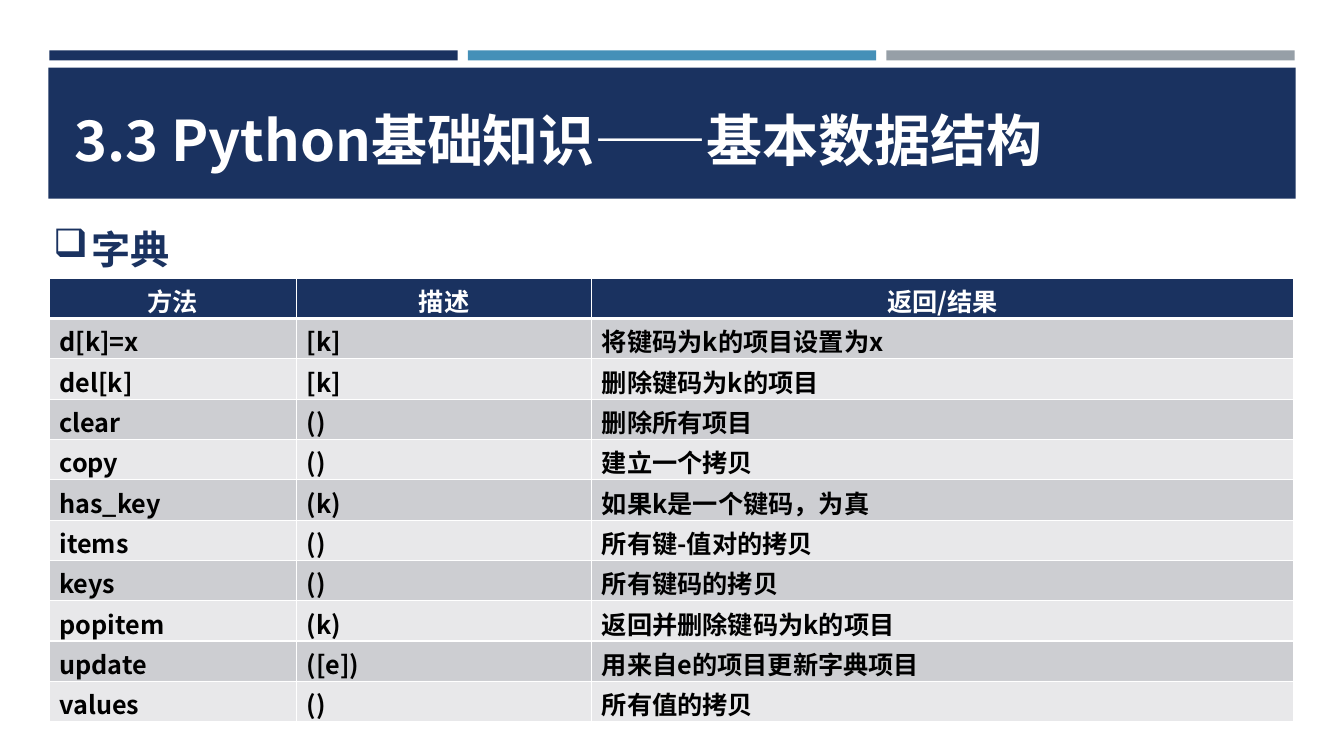
from lxml import etree
from pptx import Presentation
from pptx.dml.color import RGBColor
from pptx.enum.shapes import MSO_SHAPE
from pptx.enum.text import MSO_ANCHOR, MSO_AUTO_SIZE, PP_ALIGN
from pptx.oxml.ns import qn
from pptx.util import Emu, Pt

RECT = MSO_SHAPE.RECTANGLE
MIDDLE = MSO_ANCHOR.MIDDLE
GROW = MSO_AUTO_SIZE.SHAPE_TO_FIT_TEXT
CENTER, LEFT = PP_ALIGN.CENTER, PP_ALIGN.LEFT

NAVY = RGBColor(0x1A, 0x32, 0x60)
BLUE = RGBColor(0x45, 0x90, 0xB8)
GREY = RGBColor(0x96, 0x9F, 0xA7)
DARK_BAND = RGBColor(0xCD, 0xCE, 0xD2)
LIGHT_BAND = RGBColor(0xE8, 0xE8, 0xEA)
WHITE = RGBColor(0xFF, 0xFF, 0xFF)
BLACK = RGBColor(0x00, 0x00, 0x00)

METHODS = [
    ("方法", "描述", "返回/结果"),
    ("d[k]=x", "[k]", "将键码为k的项目设置为x"),
    ("del[k]", "[k]", "删除键码为k的项目"),
    ("clear", "()", "删除所有项目"),
    ("copy", "()", "建立一个拷贝"),
    ("has_key", "(k)", "如果k是一个键码，为真"),
    ("items", "()", "所有键-值对的拷贝"),
    ("keys", "()", "所有键码的拷贝"),
    ("popitem", "(k)", "返回并删除键码为k的项目"),
    ("update", "([e])", "用来自e的项目更新字典项目"),
    ("values", "()", "所有值的拷贝"),
]


def px(n):
    """Turn px, 100 to the inch, into EMU."""
    return Emu(n * 9144)


class Deck:
    font = "Noto Sans CJK SC"

    def __init__(self, width, height):
        self.prs = Presentation()
        self.prs.slide_width, self.prs.slide_height = px(width), px(height)
        self.s = self.prs.slides.add_slide(self.prs.slide_layouts[6])

    def style(self, p, size, color):
        for r in p.runs:
            r.font.name, r.font.size, r.font.bold = self.font, Pt(size), True
            r.font.color.rgb = color
            ea = etree.SubElement(r.font._element, qn("a:ea"))
            ea.set("typeface", self.font)

    def bar(self, x, y, w, h, color):
        sp = self.s.shapes.add_shape(RECT, px(x), px(y), px(w), px(h))
        sp.shadow.inherit = False
        sp.fill.solid()
        sp.fill.fore_color.rgb = color
        sp.line.fill.background()

    def text(self, x, y, w, h, text, size, color):
        tf = self.s.shapes.add_textbox(px(x), px(y), px(w), px(h)).text_frame
        tf.word_wrap, tf.auto_size, tf.vertical_anchor = True, GROW, MIDDLE
        tf.text = text
        p = tf.paragraphs[0]
        self.style(p, size, color)
        return p

    def bullet(self, p, char, indent):
        pPr = p._p.get_or_add_pPr()
        pPr.set("marL", str(px(indent)))
        pPr.set("indent", str(px(-indent)))
        etree.SubElement(pPr, qn("a:buChar")).set("char", char)

    def borders(self, cell, **widths):
        """Draw white cell borders; widths are in points by side L, R, T, B."""
        tcPr = cell._tc.get_or_add_tcPr()
        for i, (side, width) in enumerate(widths.items()):
            ln = etree.Element(qn("a:ln" + side), w=str(Pt(width)))
            fill = etree.SubElement(ln, qn("a:solidFill"))
            etree.SubElement(fill, qn("a:srgbClr")).set("val", str(WHITE))
            tcPr.insert(i, ln)

    def table(self, x, y, widths, row_height, rows):
        shape = self.s.shapes.add_table(len(rows), len(widths), px(x), px(y),
                                        px(sum(widths)), px(row_height * len(rows)))
        table = shape.table
        for column, width in zip(table.columns, widths):
            column.width = px(width)
        for i, row in enumerate(rows):
            header = i == 0
            fill = NAVY if header else DARK_BAND if i % 2 else LIGHT_BAND
            for j, value in enumerate(row):
                cell = table.cell(i, j)
                cell.margin_top, cell.margin_bottom = px(4), 0
                cell.fill.solid()
                cell.fill.fore_color.rgb = fill
                cell.text_frame.text = value
                p = cell.text_frame.paragraphs[0]
                p.alignment = CENTER if header else LEFT
                self.style(p, 18, WHITE if header else BLACK)
                self.borders(cell, L=1, R=1, T=3 if i == 1 else 1, B=3 if header else 1)


def main():
    deck = Deck(1333, 750)
    for i, color in enumerate((NAVY, BLUE, GREY)):
        deck.bar(49 + 415 * i, 50, 405, 10, color)
    deck.bar(48, 67, 1237, 130, NAVY)
    deck.text(64, 99, 1316, 77, "3.3 Python基础知识——基本数据结构", 40, WHITE)
    p = deck.text(43, 199, 1240, 72, "字典", 28, NAVY)
    p.line_spacing, p.space_after = 1.5, Pt(12)
    deck.bullet(p, "❑", 38)
    deck.table(49, 276, (245, 293, 696), 40, METHODS)
    deck.prs.save("out.pptx")


if __name__ == "__main__":
    main()
